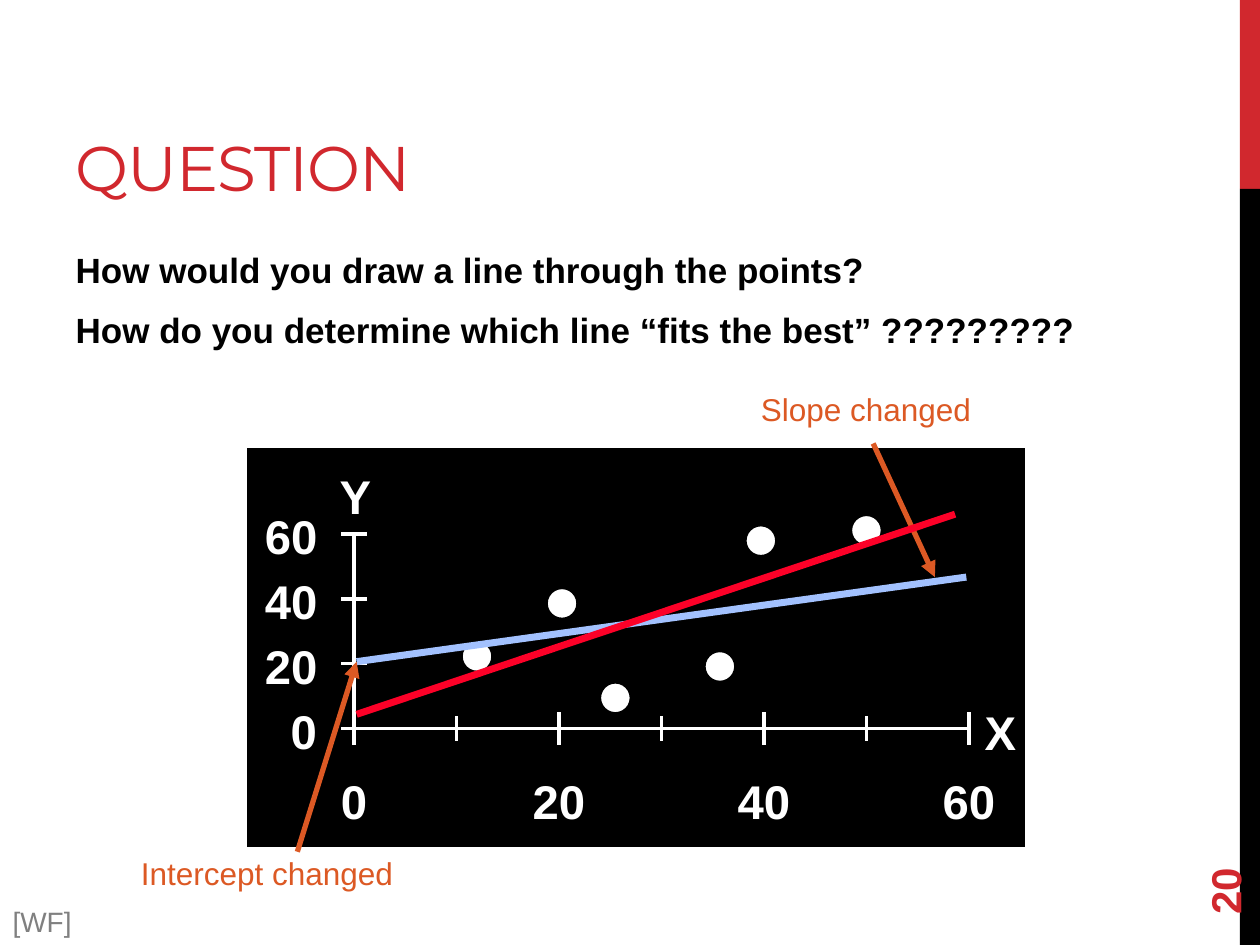
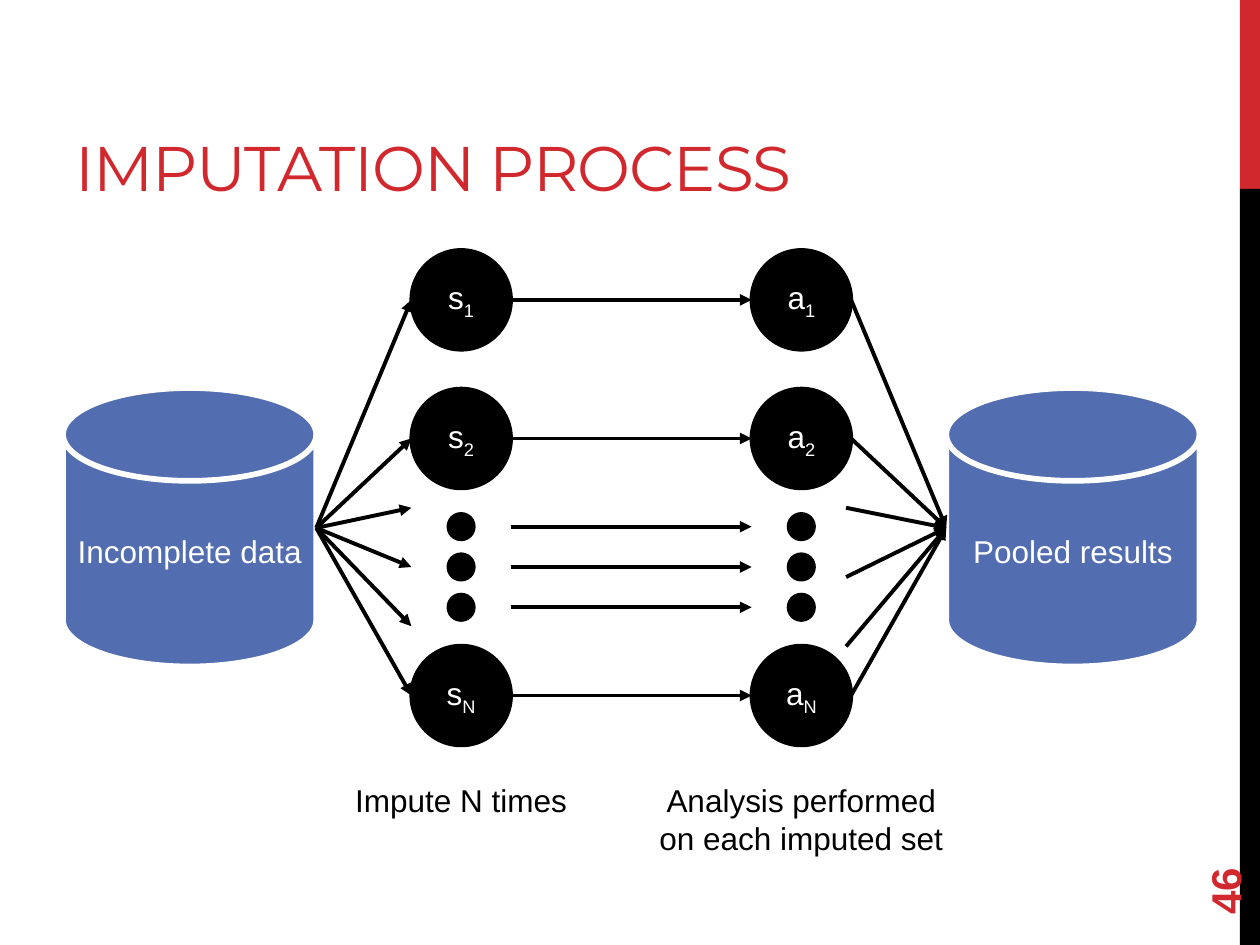
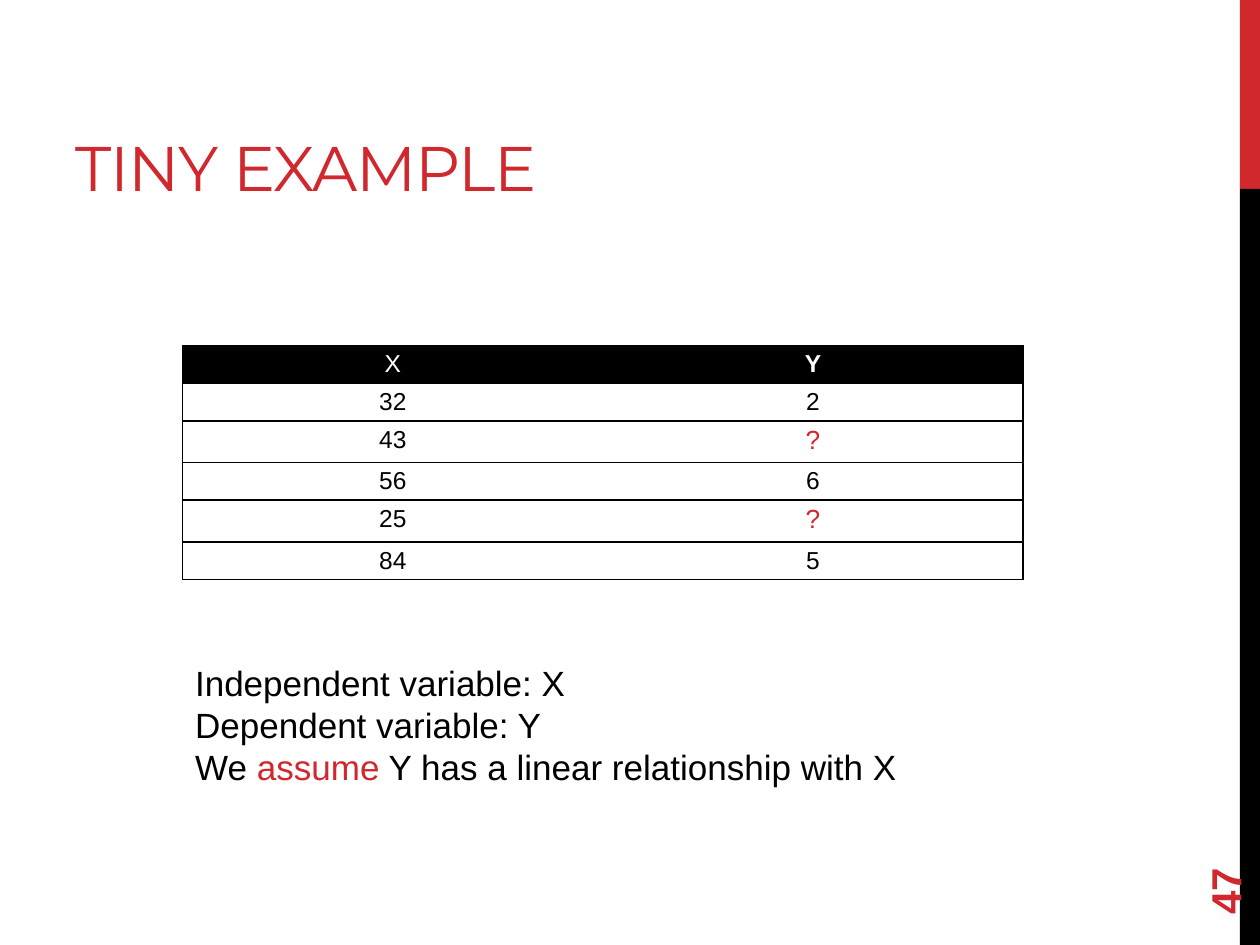
from dataclasses import dataclass

from lxml.etree import SubElement
from pptx import Presentation
from pptx.dml.color import RGBColor
from pptx.enum.shapes import MSO_CONNECTOR, MSO_SHAPE
from pptx.enum.text import MSO_ANCHOR, MSO_AUTO_SIZE, PP_ALIGN
from pptx.oxml.ns import qn
from pptx.util import Inches, Pt


@dataclass(frozen=True)
class Theme:
    # Colours
    red: str = "D1282E"
    black: str = "000000"
    white: str = "FFFFFF"
    blue: str = "526DB0"
    orange: str = "DC5924"
    gray: str = "808080"
    first_fit: str = "FC0128"
    second_fit: str = "A2C1FE"
    # Fonts and type sizes
    title_font: str = "Montserrat"
    body_font: str = "Arial"
    title: int = 36
    axis: int = 27
    number: int = 24
    body: int = 20
    label: int = 18
    source: int = 16
    unknown: int = 15
    cell: int = 14


THEME = Theme()

# The slide is a grid of 10 columns by 7.5 rows of square cells
COLUMNS, ROWS = 10, 7.5
SLIDE_WIDTH, SLIDE_HEIGHT = Inches(10), Inches(7.5)
CELL = SLIDE_WIDTH / COLUMNS
BAND_WIDTH = 0.16
BAND_SPLIT = 0.2 * ROWS
TITLE_ONLY, TITLE_AND_BODY = 5, 1


def cells(*counts):
    """Turn counts of grid cells into lengths."""
    return [round(count * CELL) for count in counts]


def color(value):
    return RGBColor.from_string(value)


# Text

def write(frame, paragraphs, *, size=THEME.label, font=THEME.body_font, fill=THEME.black,
          bold=False, align=PP_ALIGN.LEFT, anchor=MSO_ANCHOR.TOP, wrap=True,
          before=0, after=0, tracking=None):
    """Fill a frame; a paragraph is a string or a list of (text, overrides) runs."""
    frame.auto_size = MSO_AUTO_SIZE.NONE
    frame.word_wrap = wrap
    frame.vertical_anchor = anchor
    for index, content in enumerate(paragraphs):
        paragraph = frame.paragraphs[0] if index == 0 else frame.add_paragraph()
        paragraph.alignment = align
        paragraph.space_before = Pt(before if index else 0)
        paragraph.space_after = Pt(after)
        runs = [(content, {})] if isinstance(content, str) else content
        for text, changes in runs:
            run = paragraph.add_run()
            run.text = text
            run.font.name = font
            run.font.size = Pt(size)
            run.font.bold = bold
            run.font.color.rgb = color(changes.get("fill", fill))
            properties = run.font._element
            if tracking:
                properties.set("spc", str(round(tracking * 100)))
            if "baseline" in changes:
                properties.set("baseline", str(changes["baseline"] * 1000))


def add_text(slide, box, *paragraphs, rotation=0, **formatting):
    text_box = slide.shapes.add_textbox(*cells(*box))
    text_box.rotation = rotation
    write(text_box.text_frame, paragraphs, **formatting)


def remove_bullets(frame):
    for paragraph in frame.paragraphs:
        properties = paragraph._p.get_or_add_pPr()
        properties.set("marL", "0")
        properties.set("indent", "0")
        SubElement(properties, qn("a:buNone"))


# Shapes and lines

def add_shape(slide, kind, box, fill, line=None, width=1):
    shape = slide.shapes.add_shape(kind, *cells(*box))
    shape.shadow.inherit = False
    shape.fill.solid()
    shape.fill.fore_color.rgb = color(fill)
    if line:
        shape.line.color.rgb = color(line)
        shape.line.width = Pt(width)
    else:
        shape.line.fill.background()
    return shape


def add_circle(slide, center, diameter, fill, line, width):
    x, y = center
    box = (x - diameter / 2, y - diameter / 2, diameter, diameter)
    return add_shape(slide, MSO_SHAPE.OVAL, box, fill, line, width)


def add_line(slide, start, end, fill, width, arrow=False):
    connector = slide.shapes.add_connector(MSO_CONNECTOR.STRAIGHT, *cells(*start, *end))
    connector.line.color.rgb = color(fill)
    connector.line.width = Pt(width)
    properties = connector.element.spPr
    if arrow:
        SubElement(properties.find(qn("a:ln")), qn("a:tailEnd"), type="triangle")
    SubElement(properties, qn("a:effectLst"))


# Parts shared by the slides

def add_bands(presentation, slide):
    """Draw the side bands, then hand them to the master for all slides."""
    master_tree = presentation.slide_master.shapes.element
    bands = [(0, BAND_SPLIT, THEME.red), (BAND_SPLIT, ROWS - BAND_SPLIT, THEME.black)]
    for index, (top, height, fill) in enumerate(bands):
        box = (COLUMNS - BAND_WIDTH, top, BAND_WIDTH, height)
        band = add_shape(slide, MSO_SHAPE.RECTANGLE, box, fill)
        band.element.xpath(".//p:cNvPr")[0].set("id", str(100 + index))
        master_tree.insert(2 + index, band.element)


def add_slide(presentation, title, number, layout=TITLE_ONLY, title_width=6.33):
    slide = presentation.slides.add_slide(presentation.slide_layouts[layout])
    place(slide.shapes.title, (0.5, 0.17, title_width, 1.5))
    write(slide.shapes.title.text_frame, [title], size=THEME.title, font=THEME.title_font,
          fill=THEME.red, anchor=MSO_ANCHOR.BOTTOM, tracking=-0.6)
    add_text(slide, (9, 6.44, 1.44, 0.4), str(number), rotation=270, size=THEME.number,
             fill=THEME.red, bold=True, anchor=MSO_ANCHOR.MIDDLE)
    return slide


def place(shape, box):
    shape.left, shape.top, shape.width, shape.height = cells(*box)


# Slide: question with a scatter plot

ORIGIN_X, ORIGIN_Y = 2.81, 5.78
AXIS_WIDTH, AXIS_HEIGHT, AXIS_MAX = 4.88, 1.54, 60
POINTS = [(25.5, 9.4), (50, 61.2), (20.3, 38.6), (39.7, 58), (35.7, 19.1), (12, 22.2)]
SECOND_FIT = [(0.25, 20.6), (59.75, 46.75)]
FIRST_FIT = [(0.25, 4.3), (58.65, 66.2)]


def plot(x, y):
    """Position of a data point on the slide."""
    return (ORIGIN_X + x * AXIS_WIDTH / AXIS_MAX, ORIGIN_Y - y * AXIS_HEIGHT / AXIS_MAX)


def add_axis_label(slide, text, center, top):
    width = 0.45 if text.isalpha() else 0.21 + 0.2 * len(text)
    add_text(slide, (center - width / 2, top, width, 0.55), text, size=THEME.axis,
             fill=THEME.white, bold=True, align=PP_ALIGN.CENTER, wrap=False)


def add_tick(slide, center, half_width, half_height):
    x, y = center
    add_line(slide, (x - half_width, y + half_height), (x + half_width, y - half_height),
             THEME.white, 2)


def add_axes(slide):
    for end in ((0, AXIS_MAX), (AXIS_MAX, 0)):
        add_line(slide, plot(0, 0), plot(*end), THEME.white, 2)
    for value in range(0, AXIS_MAX + 1, 10):
        major = value % 20 == 0
        x, _ = plot(value, 0)
        add_tick(slide, plot(value, 0), 0, 0.13 if major else 0.1)
        if major:
            _, y = plot(0, value)
            add_tick(slide, plot(0, value), 0.1, 0)
            add_axis_label(slide, str(value), x, 6.08)
            add_axis_label(slide, str(value), 2.41 if value == 0 else 2.31, y - 0.26)
    add_axis_label(slide, "X", 7.94, 5.53)
    add_axis_label(slide, "Y", 2.82, 3.66)


def add_question(presentation):
    slide = add_slide(presentation, "QUESTION", 20, TITLE_AND_BODY)
    add_bands(presentation, slide)
    body = slide.placeholders[1]
    place(body, (0.5, 1.92, 8.33, 4.78))
    write(body.text_frame, ["How would you draw a line through the points?",
                            "How do you determine which line “fits the best” ?????????"],
          size=THEME.body, bold=True, before=4.5, after=6)
    remove_bullets(body.text_frame)

    # Scatter plot
    add_shape(slide, MSO_SHAPE.RECTANGLE, (1.95, 3.55, 6.19, 3.18),
              THEME.black, THEME.white, 1)
    add_axes(slide)
    for point in POINTS:
        add_circle(slide, plot(*point), 0.24, THEME.white, THEME.black, 1)

    # Candidate lines and remarks
    intercept = plot(*SECOND_FIT[0])
    add_line(slide, intercept, plot(*SECOND_FIT[1]), THEME.second_fit, 4)
    add_line(slide, (6.93, 3.52), (7.42, 4.58), THEME.orange, 3, arrow=True)
    add_text(slide, (5.94, 3.05, 1.87, 0.4), "Slope changed", fill=THEME.orange, wrap=False)
    add_text(slide, (1.02, 6.73, 2.2, 0.4), "Intercept changed", fill=THEME.orange,
             wrap=False)
    add_line(slide, (2.36, 6.76), intercept, THEME.orange, 3, arrow=True)
    add_line(slide, plot(*FIRST_FIT[0]), plot(*FIRST_FIT[1]), THEME.first_fit, 4)
    add_text(slide, (0, 7.13, 0.67, 0.37), "[WF]", size=THEME.source, fill=THEME.gray,
             align=PP_ALIGN.CENTER, wrap=False)


# Slide: imputation process

NODE_SIZE, DOT_SIZE = 0.79, 0.2
NODE_ROWS = {"1": 2.38, "2": 3.48, "N": 5.52}
DOT_ROWS = [4.18 + 0.32 * step for step in range(3)]
SET_COLUMN, ANALYSIS_COLUMN = 3.66, 6.36
DISK_MIDDLE = 4.19


def add_store(slide, left, text):
    disk = add_shape(slide, MSO_SHAPE.FLOWCHART_MAGNETIC_DISK, (left, 3.08, 2.01, 2.21),
                     THEME.blue, THEME.white, 3.25)
    write(disk.text_frame, [text], fill=THEME.white, align=PP_ALIGN.CENTER,
          anchor=MSO_ANCHOR.MIDDLE)


def add_node_column(slide, center, letter, caption, caption_height):
    for index, row in NODE_ROWS.items():
        node = add_circle(slide, (center, row), NODE_SIZE, THEME.black, THEME.black, 2.25)
        write(node.text_frame, [[(letter, {}), (index, {"baseline": -25})]],
              fill=THEME.white, align=PP_ALIGN.CENTER, anchor=MSO_ANCHOR.MIDDLE)
    for row in DOT_ROWS:
        add_circle(slide, (center, row), DOT_SIZE, THEME.black, THEME.black, 2.25)
    add_text(slide, (center - 1.3, 6.15, 2.6, caption_height), caption,
             align=PP_ALIGN.CENTER)


def add_process(presentation):
    slide = add_slide(presentation, "IMPUTATION PROCESS", 46, title_width=8.17)
    add_store(slide, 0.5, "Incomplete data")
    add_store(slide, 7.51, "Pooled results")
    add_node_column(slide, SET_COLUMN, "s", "Impute N times", 0.4)
    add_node_column(slide, ANALYSIS_COLUMN, "a",
                    "Analysis performed on each imputed set", 0.71)

    # Arrows out to the sets, across to the analyses, and in to the results
    radius = NODE_SIZE / 2
    node_rows = list(NODE_ROWS.values())
    set_left, set_right = SET_COLUMN - radius, SET_COLUMN + radius
    analysis_left, analysis_right = ANALYSIS_COLUMN - radius, ANALYSIS_COLUMN + radius
    source, target = (2.51, DISK_MIDDLE), (7.51, DISK_MIDDLE)
    middle_out = [4.03 + 0.47 * step for step in range(3)]
    middle_in = [4.03 + 0.55 * step for step in range(3)]
    arrows = [(source, (set_left, row)) for row in node_rows + middle_out]
    arrows += [((set_right, row), (analysis_left, row)) for row in node_rows + DOT_ROWS]
    arrows += [((analysis_right, row), target) for row in node_rows]
    arrows += [((analysis_right - 0.04, row), target) for row in middle_in]
    for start, end in arrows:
        add_line(slide, start, end, THEME.black, 2.25, arrow=True)


# Slide: example table

TABLE_ROWS = [("X", "Y"), ("32", "2"), ("43", "?"), ("56", "6"), ("25", "?"), ("84", "5")]


def set_borders(cell, visible):
    properties = cell._tc.get_or_add_tcPr()
    for side in "LRTB":
        line = SubElement(properties, qn(f"a:ln{side}"), w=str(Pt(1)))
        if side in visible:
            fill = SubElement(line, qn("a:solidFill"))
            SubElement(fill, qn("a:srgbClr"), val=THEME.black)
        else:
            SubElement(line, qn("a:noFill"))


def add_data_table(slide, rows, box):
    table = slide.shapes.add_table(len(rows), len(rows[0]), *cells(*box)).table
    table.first_row = table.horz_banding = False
    for row_index, values in enumerate(rows):
        header = row_index == 0
        table.rows[row_index].height, = cells(0.33 if "?" in values else 0.3)
        for column_index, value in enumerate(values):
            cell = table.cell(row_index, column_index)
            cell.margin_left, cell.margin_right = cells(0.07, 0.07)
            cell.margin_top, cell.margin_bottom = cells(0.04, 0.04)
            set_borders(cell, "TBL" if column_index == 0 else "TBR")
            if header:
                cell.fill.solid()
                cell.fill.fore_color.rgb = color(THEME.black)
            else:
                cell.fill.background()
            unknown = value == "?"
            text_fill = THEME.white if header else THEME.red if unknown else THEME.black
            write(cell.text_frame, [value], fill=text_fill, align=PP_ALIGN.CENTER,
                  size=THEME.unknown if unknown else THEME.cell, bold=value == "Y")


def add_example(presentation):
    slide = add_slide(presentation, "TINY EXAMPLE", 47)
    add_data_table(slide, TABLE_ROWS, (1.45, 2.74, 6.67, 1.86))
    add_text(slide, (1.45, 5.2, 6.69, 1.11), "Independent variable: X",
             "Dependent variable: Y",
             [("We ", {}), ("assume", {"fill": THEME.red}),
              (" Y has a linear relationship with X", {})], size=THEME.body)


def main():
    presentation = Presentation()
    presentation.slide_width, presentation.slide_height = SLIDE_WIDTH, SLIDE_HEIGHT
    add_question(presentation)
    add_process(presentation)
    add_example(presentation)
    presentation.save("out.pptx")


if __name__ == "__main__":
    main()
